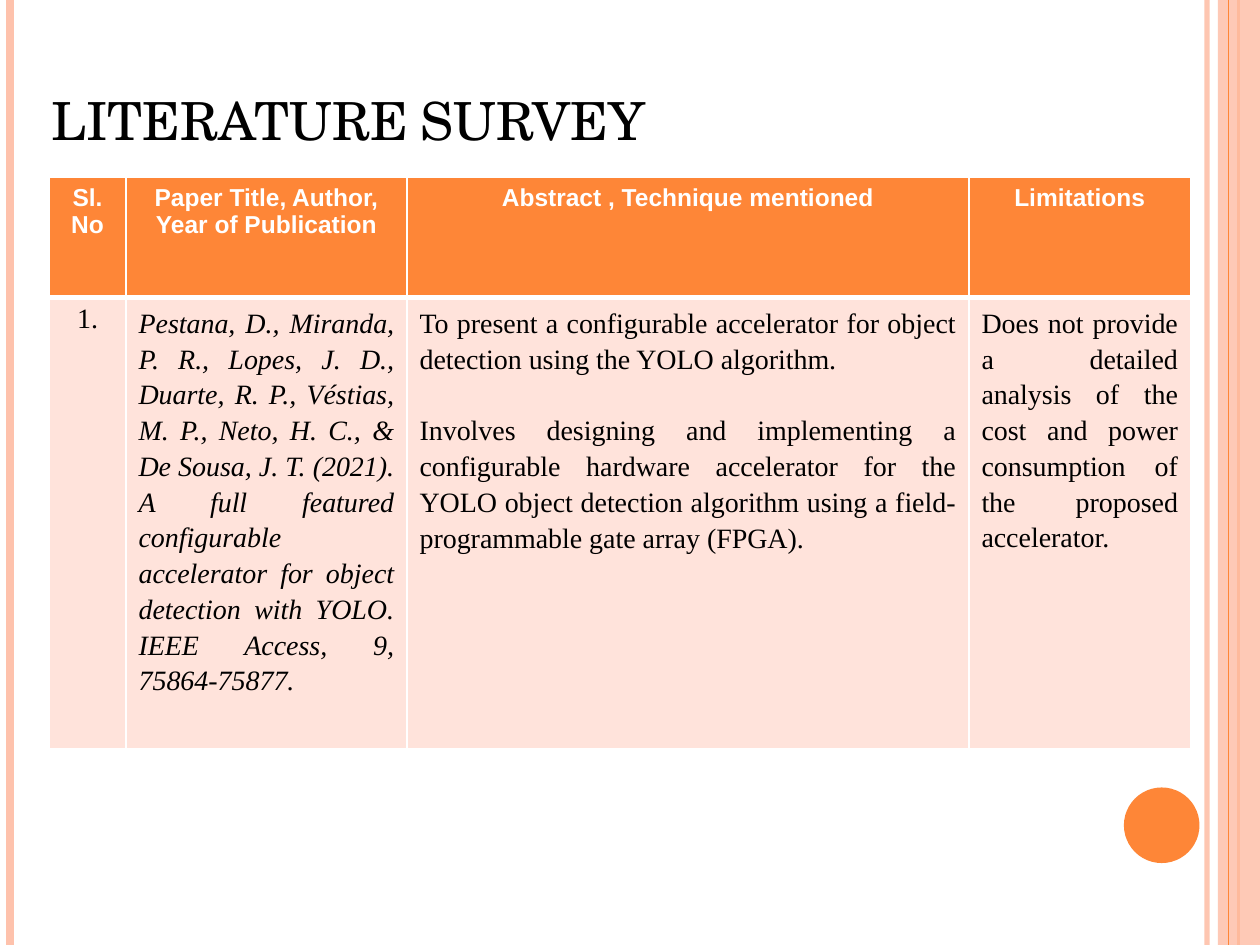
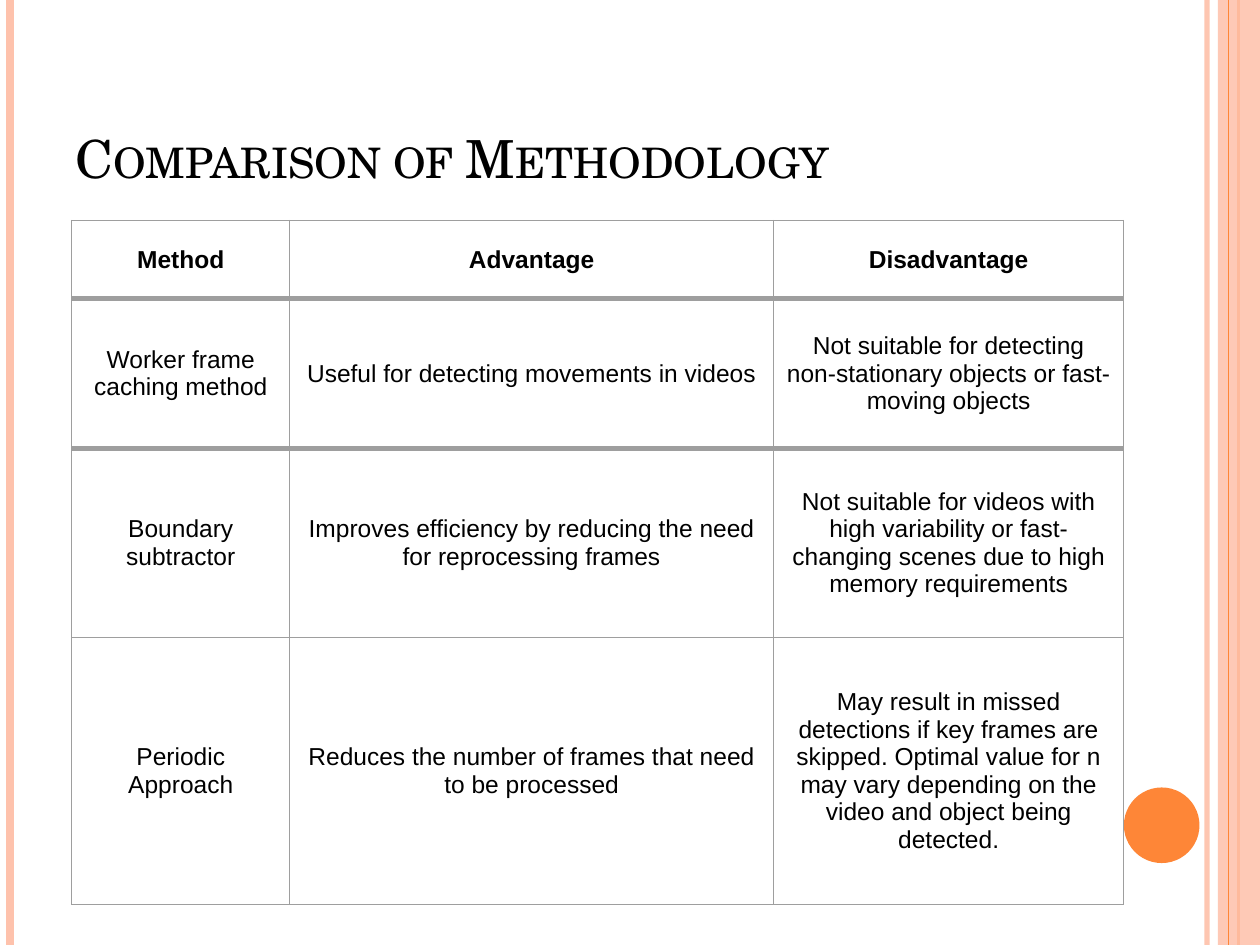
from dataclasses import dataclass

from lxml.etree import SubElement
from pptx import Presentation
from pptx.dml.color import RGBColor
from pptx.enum.shapes import MSO_CONNECTOR, MSO_SHAPE
from pptx.enum.text import MSO_ANCHOR, PP_ALIGN
from pptx.oxml.ns import qn
from pptx.util import Inches, Pt


@dataclass(frozen=True)
class Theme:
    accent: str = "FE8637"
    band: str = "FEC2AC"
    tint: str = "FFD8CC"
    grid: str = "9E9E9E"
    white: str = "FFFFFF"
    ink: str = "000000"
    title_font: str = "TeX Gyre Schola"
    label_font: str = "Arial"
    body_font: str = "Times New Roman"
    title_size: int = 30
    label_size: int = 14
    body_size: int = 16


THEME = Theme()
WIDTH, HEIGHT = 10, 7.5

# Content: a cell is a list of paragraphs
SURVEY = [
    [["Sl.", "No"], ["Paper Title, Author, Year of Publication"],
     ["Abstract , Technique mentioned"], ["Limitations"]],
    [["1."],
     ["Pestana, D., Miranda, P. R., Lopes, J. D., Duarte, R. P., Véstias, M. P., "
      "Neto, H. C., & De Sousa, J. T. (2021). A full featured configurable "
      "accelerator for object detection with YOLO. IEEE Access, 9, 75864-75877."],
     ["To present a configurable accelerator for object detection using the YOLO "
      "algorithm.",
      "Involves designing and implementing a configurable hardware accelerator for "
      "the YOLO object detection algorithm using a field-programmable gate array "
      "(FPGA)."],
     ["Does not provide a detailed analysis of the cost and power consumption of "
      "the proposed accelerator."]],
]
COMPARISON = [
    [["Method"], ["Advantage"], ["Disadvantage"]],
    [["Worker frame caching method"], ["Useful for detecting movements in videos"],
     ["Not suitable for detecting non-stationary objects or fast-moving objects"]],
    [["Boundary subtractor"],
     ["Improves efficiency by reducing the need for reprocessing frames"],
     ["Not suitable for videos with high variability or fast-changing scenes due to "
      "high memory requirements"]],
    [["Periodic Approach"], ["Reduces the number of frames that need to be processed"],
     ["May result in missed detections if key frames are skipped. Optimal value for n "
      "may vary depending on the video and object being detected."]],
]

# Vertical rules on every slide: x, colour, weight, opacity
RULES = [(9.58, THEME.band, 3, 93), (0.08, THEME.band, 4.5, 100),
         (9.83, THEME.accent, 1.5, 100)]
INNER_RULE = (9.75, THEME.accent, 0.75, 100)


def set_opacity(element, percent):
    if percent < 100:
        for color in element.iter(qn("a:srgbClr")):
            SubElement(color, qn("a:alpha"), val=str(percent * 1000))


def paint(fill, color):
    fill.solid()
    fill.fore_color.rgb = RGBColor.from_string(color)


def style_font(font, name, size, color, bold=False, italic=False):
    font.name, font.size = name, Pt(size)
    font.bold, font.italic = bold, italic
    font.color.rgb = RGBColor.from_string(color)


def add_rule(page, x, color, weight, opacity):
    rule = page.shapes.add_connector(
        MSO_CONNECTOR.STRAIGHT, Inches(x), 0, Inches(x), Inches(HEIGHT))
    rule.line.color.rgb = RGBColor.from_string(color)
    rule.line.width = Pt(weight)
    properties = rule._element.spPr
    set_opacity(properties, opacity)
    SubElement(properties, qn("a:effectLst"))


def add_plain_shape(page, kind, area, color, opacity=100):
    shape = page.shapes.add_shape(kind, *map(Inches, area))
    shape.shadow.inherit = False
    paint(shape.fill, color)
    shape.line.fill.background()
    set_opacity(shape._element.spPr, opacity)


def add_page(deck, title, left, top):
    page = deck.slides.add_slide(deck.slide_layouts[6])
    # Side bands and the page disc
    for rule in RULES:
        add_rule(page, *rule)
    add_plain_shape(page, MSO_SHAPE.RECTANGLE,
                    (WIDTH * 29 / 30, 0, WIDTH / 30, HEIGHT), THEME.band, 87)
    add_rule(page, *INNER_RULE)
    add_plain_shape(page, MSO_SHAPE.OVAL, (8.92, 6.25, 0.6, 0.6), THEME.accent)
    # Title in small capitals
    box = page.shapes.add_textbox(*map(Inches, (left, top, 8.17, 1.25)))
    frame = box.text_frame
    frame.word_wrap = True
    frame.vertical_anchor = MSO_ANCHOR.BOTTOM
    frame.text = title
    span = frame.paragraphs[0].runs[0]
    style_font(span.font, THEME.title_font, THEME.title_size, THEME.ink)
    span._r.get_or_add_rPr().set("cap", "small")
    return page


def set_borders(cell, color, side, above, below):
    properties = cell._tc.get_or_add_tcPr()
    for edge, weight in (("L", side), ("R", side), ("T", above), ("B", below)):
        line = SubElement(properties, qn(f"a:ln{edge}"), w=str(Pt(weight)))
        fill = SubElement(line, qn("a:solidFill"))
        SubElement(fill, qn("a:srgbClr"), val=color)


def add_grid(page, rows, left, top, columns, heights, color, weights, style_cell):
    """Weights are those of the horizontal lines; the first also serves the sides."""
    table = page.shapes.add_table(
        len(rows), len(columns), Inches(left), Inches(top),
        Inches(sum(columns)), Inches(sum(heights))).table
    table.horz_banding = table.first_row = False
    for column, width in zip(table.columns, columns):
        column.width = Inches(width)
    for r, row in enumerate(rows):
        table.rows[r].height = Inches(heights[r])
        for c, lines in enumerate(row):
            cell = table.cell(r, c)
            set_borders(cell, color, weights[0], weights[r], weights[r + 1])
            cell.text_frame.text = "\n".join(lines)
            for para in cell.text_frame.paragraphs:
                para.alignment = PP_ALIGN.CENTER
            style_cell(cell, r, c)


def style_survey(cell, r, c):
    header = r == 0
    paint(cell.fill, THEME.accent if header else THEME.tint)
    if not header:
        set_opacity(cell._tc.tcPr.find(qn("a:solidFill")), 70)
    for index, para in enumerate(cell.text_frame.paragraphs):
        if header:
            style_font(para.runs[0].font, THEME.label_font, THEME.label_size,
                       THEME.white, bold=True)
            continue
        style_font(para.runs[0].font, THEME.body_font, THEME.body_size,
                   THEME.ink, italic=c == 1)
        if c > 0:
            para.alignment = PP_ALIGN.JUSTIFY
            para.line_spacing = 1.15
        if index > 0:
            para.space_before = Pt(20.5)


def style_comparison(cell, r, c):
    cell.fill.background()
    cell.vertical_anchor = MSO_ANCHOR.MIDDLE
    cell.margin_top = cell.margin_bottom = Inches(0.1)
    style_font(cell.text_frame.paragraphs[0].runs[0].font, THEME.label_font,
               THEME.label_size, THEME.ink, bold=r == 0)


def main():
    deck = Presentation()
    deck.slide_width, deck.slide_height = Inches(WIDTH), Inches(HEIGHT)

    # Literature survey
    page = add_page(deck, "LITERATURE SURVEY", 0.31, 0)
    add_grid(page, SURVEY, 0.39, 1.41, [0.61, 2.23, 4.46, 1.76], [0.95, 3.58],
             THEME.white, [1, 3, 1], style_survey)

    # Comparison of methods
    page = add_page(deck, "Comparison of Methodology", 0.5, 0.3)
    add_grid(page, COMPARISON, 0.57, 1.75, [1.73, 3.84, 2.78],
             [0.62, 1.19, 1.5, 2.12], THEME.grid, [0.75, 3, 3, 0.75, 0.75],
             style_comparison)

    deck.save("out.pptx")


if __name__ == "__main__":
    main()
